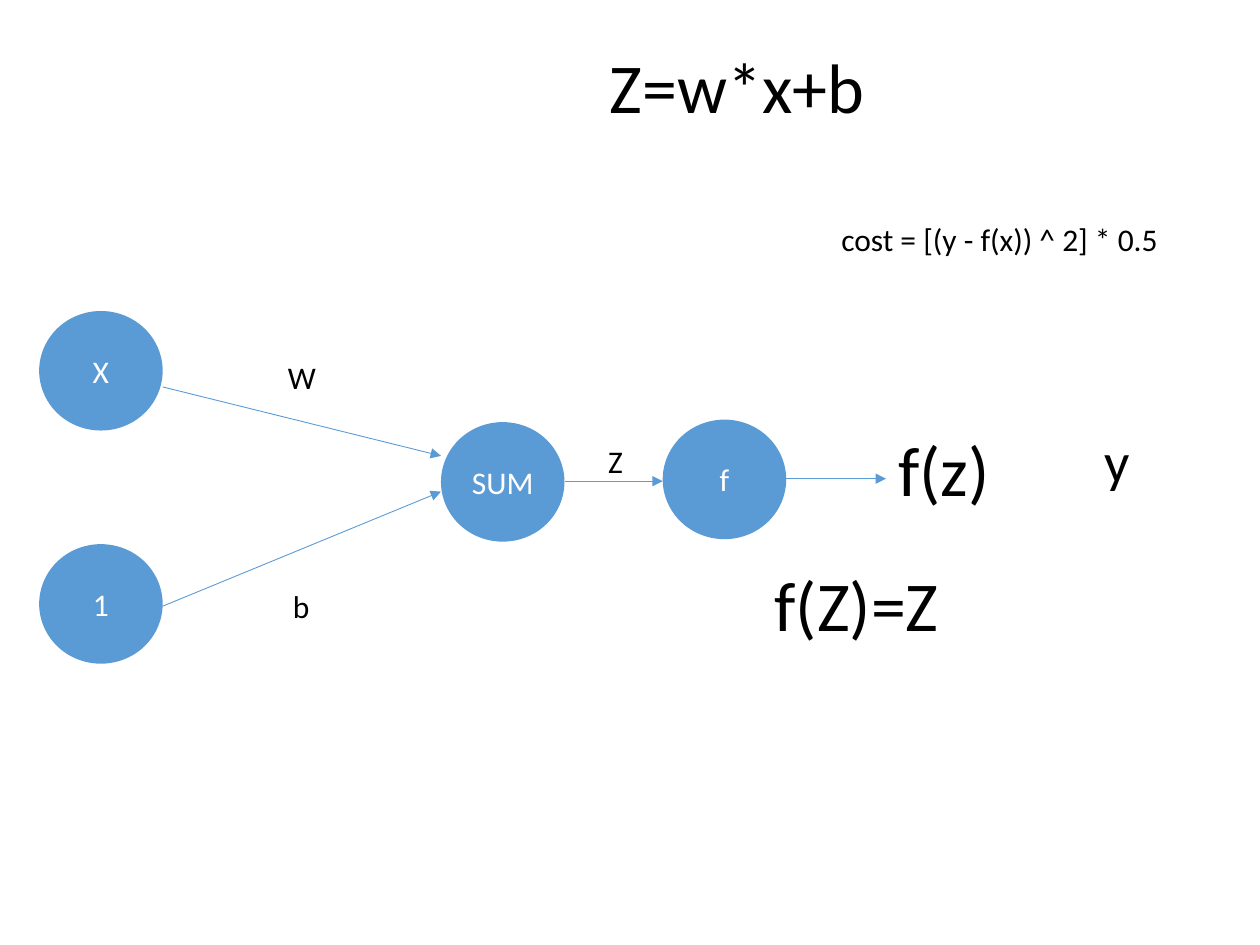
from dataclasses import dataclass
from pptx import Presentation
from pptx.dml.color import RGBColor
from pptx.enum.shapes import MSO_CONNECTOR, MSO_SHAPE
from pptx.enum.text import MSO_ANCHOR, MSO_AUTO_SIZE, PP_ALIGN
from pptx.oxml.ns import qn
from pptx.util import Cm, Pt
from lxml.etree import SubElement


@dataclass(frozen=True)
class Theme:
    """Colours, type sizes and shared lengths in centimetres."""
    font: str = "Calibri"
    blue: RGBColor = RGBColor(0x5B, 0x9B, 0xD5)
    white: RGBColor = RGBColor(255, 255, 255)
    black: RGBColor = RGBColor(0, 0, 0)
    small: int = 18
    large: int = 32
    huge: int = 40
    line: float = 0.5
    wide: float = 2.49
    high: float = 2.41


class Sketch:
    """Draws the parts of a neuron diagram on one slide."""

    def __init__(self, slide, theme):
        """Keep the slide and its style."""
        self.slide, self.theme = slide, theme
        self.tall = {theme.small: 1.02, theme.large: 1.63, theme.huge: 1.96}

    def letter(self, frame, text, size, color, align):
        """Add one styled run to a text frame."""
        para = frame.paragraphs[0]
        para.alignment = align
        run = para.add_run()
        run.text = text
        run.font.name = self.theme.font
        run.font.size = Pt(size)
        run.font.color.rgb = color

    def fit(self, shape, text, size, align):
        """Fill a box that grows with its unwrapped text."""
        frame = shape.text_frame
        frame.word_wrap = False
        frame.auto_size = MSO_AUTO_SIZE.SHAPE_TO_FIT_TEXT
        frame.vertical_anchor = MSO_ANCHOR.TOP
        self.letter(frame, text, size, self.theme.black, align)

    def title(self, text, left, top, wide):
        """Move and format the title placeholder."""
        size = self.theme.huge
        shape = self.slide.shapes.title
        shape.left, shape.top = Cm(left), Cm(top)
        shape.width, shape.height = Cm(wide), Cm(self.tall[size])
        self.fit(shape, text, size, PP_ALIGN.CENTER)

    def label(self, text, left, top, wide, size, align=PP_ALIGN.LEFT):
        """Add a free text label."""
        box = self.slide.shapes.add_textbox(
            Cm(left), Cm(top), Cm(wide), Cm(self.tall[size]))
        self.fit(box, text, size, align)

    def node(self, text, left, top):
        """Add a round node with centred text."""
        theme = self.theme
        shape = self.slide.shapes.add_shape(
            MSO_SHAPE.OVAL, Cm(left), Cm(top), Cm(theme.wide), Cm(theme.high))
        shape.shadow.inherit = False
        shape.fill.solid()
        shape.fill.fore_color.rgb = theme.blue
        shape.line.fill.background()
        shape.text_frame.vertical_anchor = MSO_ANCHOR.MIDDLE
        self.letter(shape.text_frame, text, theme.small, theme.white, PP_ALIGN.CENTER)

    def arrow(self, start, end):
        """Add a thin arrow between two points."""
        link = self.slide.shapes.add_connector(
            MSO_CONNECTOR.STRAIGHT, *map(Cm, start + end))
        link.line.color.rgb = self.theme.blue
        link.line.width = Pt(self.theme.line)
        SubElement(link.get_or_add_ln(), qn("a:tailEnd"), type="triangle")
        SubElement(link.element.spPr, qn("a:effectLst"))


def main():
    """Build and save the slide."""
    deck = Presentation()
    deck.slide_width, deck.slide_height = Cm(25.4), Cm(19.05)
    theme = Theme()
    sketch = Sketch(deck.slides.add_slide(deck.slide_layouts[5]), theme)
    mid = PP_ALIGN.CENTER

    left, sum_x, out_x, end_x = 0.79, 8.89, 13.36, 17.86
    sum_y, out_y = 9.7, 9.65
    edge = left + theme.wide

    sketch.title("Z=w*x+b", 12.01, 0.74, 5.69)
    for text, x, y in (
        ("X", left, 6.27),
        ("1", left, 10.97),
        ("SUM", sum_x, 8.51),
        ("f", out_x, 8.46),
    ):
        sketch.node(text, x, y)

    for start, end in (
        ((edge, 7.8), (sum_x, 9.19)),
        ((edge, 12.22), (sum_x, 9.91)),
        ((sum_x + theme.wide, sum_y), (out_x, sum_y)),
        ((out_x + theme.wide, out_y), (end_x, out_y)),
    ):
        sketch.arrow(start, end)

    sketch.label("W", 5.54, 7.09, 1.09, theme.small, mid)
    sketch.label("b", 5.64, 11.71, 0.86, theme.small, mid)
    sketch.label("Z", 12.01, 8.79, 0.81, theme.small)
    sketch.label("cost = [(y - f(x)) ^ 2] * 0.5", 16.71, 4.32, 6.99, theme.small)
    sketch.label("f(z)", end_x, 8.48, 2.69, theme.huge)
    sketch.label("y", 22.02, 8.48, 1.04, theme.large)
    sketch.label("f(Z)=Z", 15.34, 11.2, 3.86, theme.huge, mid)
    deck.save("out.pptx")


if __name__ == "__main__":
    main()
